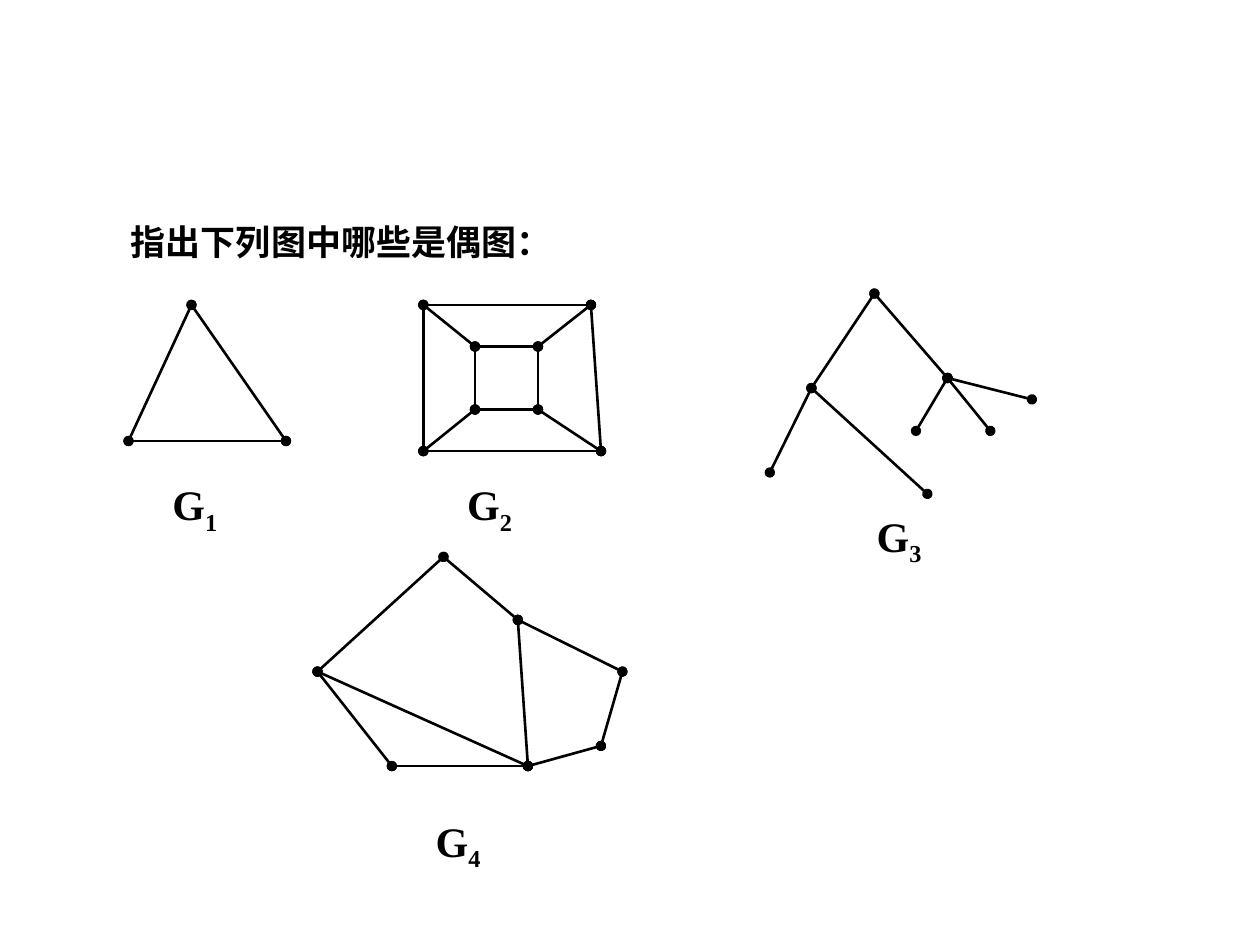
from lxml.etree import SubElement
from pptx import Presentation
from pptx.dml.color import RGBColor
from pptx.enum.shapes import MSO_CONNECTOR as Connector
from pptx.enum.text import MSO_AUTO_SIZE as AutoSize
from pptx.oxml.ns import qn
from pptx.util import Inches, Pt

COLORS = {"ink": "000000"}
FONT = "Times New Roman"
QUESTION = "指出下列图中哪些是偶图："

GRAPHS = [
    {
        "number": "1",
        "label": (1.27, 3.75),
        "vertices": {"a": (1.52, 2.42), "b": (1.02, 3.5), "c": (2.27, 3.5)},
        "edges": "ab bc ac",
    },
    {
        "number": "2",
        "label": (3.61, 3.75),
        "vertices": {
            "a": (3.36, 2.42), "b": (4.69, 2.42), "c": (4.77, 3.58), "d": (3.36, 3.58),
            "e": (3.77, 2.75), "f": (4.27, 2.75), "g": (4.27, 3.25), "h": (3.77, 3.25),
        },
        "edges": "ad dc ab bc eh hg ef fg fb gc hd ea",
    },
    {
        "number": "3",
        "label": (6.86, 4),
        "vertices": {
            "a": (6.94, 2.33), "b": (6.44, 3.08), "c": (7.52, 3), "d": (6.11, 3.75),
            "e": (7.36, 3.92), "f": (7.27, 3.42), "g": (7.86, 3.42), "h": (8.19, 3.17),
        },
        "edges": "ab be ac cf cg ch bd",
    },
    {
        "number": "4",
        "label": (3.36, 6.42),
        "vertices": {
            "a": (3.52, 4.42), "b": (2.52, 5.33), "c": (3.11, 6.08), "d": (4.19, 6.08),
            "e": (4.11, 4.92), "f": (4.94, 5.33), "g": (4.77, 5.92),
        },
        "edges": "ab bc cd ae ed bd ef fg dg",
    },
]


def add_edge(shapes, start, end):
    edge = shapes.add_connector(Connector.STRAIGHT, *map(Inches, start + end))
    edge.line.width = Pt(1.5)
    edge.line.color.rgb = RGBColor.from_string(COLORS["ink"])
    outline = edge.line._get_or_add_ln()
    for tag in ("a:headEnd", "a:tailEnd"):
        SubElement(outline, qn(tag), type="oval")
    SubElement(edge._element.spPr, qn("a:effectLst"))


def add_text(shapes, left, top, width, height, text, size):
    box = shapes.add_textbox(*map(Inches, (left, top, width, height)))
    frame = box.text_frame
    frame.word_wrap = True
    frame.auto_size = AutoSize.SHAPE_TO_FIT_TEXT
    para = frame.paragraphs[0]
    add_span(para, text, size)
    return para


def add_span(para, text, size):
    span = para.add_run()
    span.text = text
    for name, value in {"name": FONT, "size": Pt(size), "bold": True}.items():
        setattr(span.font, name, value)
    span.font.color.rgb = RGBColor.from_string(COLORS["ink"])
    return span


def add_graph(page, graph):
    shapes = page.shapes.add_group_shape().shapes
    vertices = graph["vertices"]
    for start, end in graph["edges"].split():
        add_edge(shapes, vertices[start], vertices[end])
    para = add_text(shapes, *graph["label"], 0.77, 0.56, "G", 24)
    subscript = add_span(para, graph["number"], 24)
    subscript.font._element.set("baseline", "-25000")


def main():
    deck = Presentation()
    deck.slide_width, deck.slide_height = Inches(10), Inches(7.5)
    page = deck.slides.add_slide(deck.slide_layouts.get_by_name("Blank"))
    for graph in GRAPHS:
        add_graph(page, graph)
    add_text(page.shapes, 0.94, 1.7, 8.58, 0.44, QUESTION, 20)
    deck.save("out.pptx")


if __name__ == "__main__":
    main()
